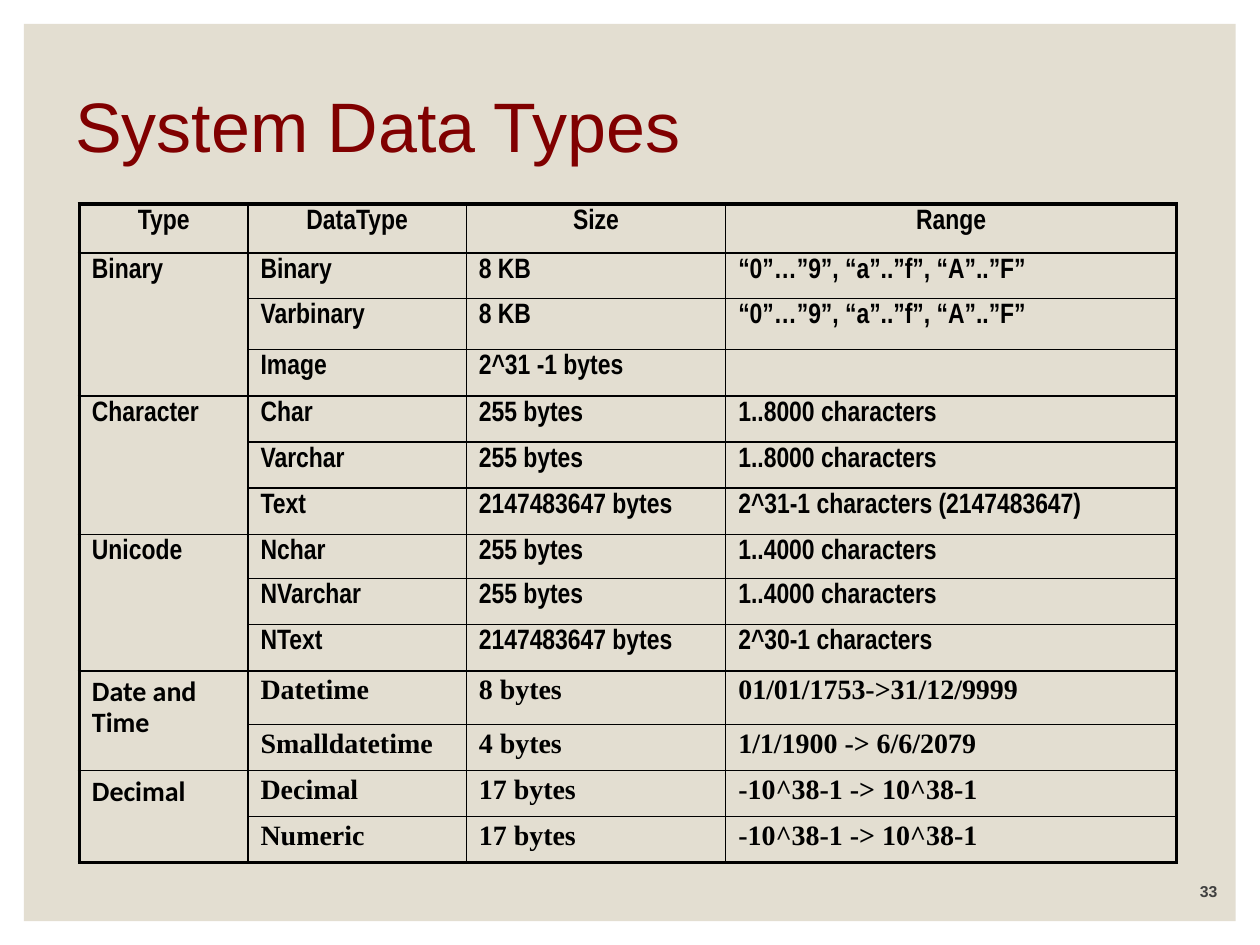
from dataclasses import dataclass

from lxml.etree import SubElement
from pptx import Presentation
from pptx.dml.color import RGBColor
from pptx.enum.shapes import MSO_SHAPE as Preset
from pptx.enum.text import MSO_ANCHOR as Anchor, PP_ALIGN as Align
from pptx.oxml.ns import qn
from pptx.util import Cm, Pt


@dataclass(frozen=True)
class Theme:
    panel: str = "E3DED1"
    heading: str = "800000"
    ink: str = "000000"
    muted: str = "404040"
    sans: str = "Arial"
    narrow: str = "Arial Narrow"
    rounded: str = "Calibri"
    serif: str = "Times New Roman"
    heading_size: float = 40
    cell_size: float = 16
    number_size: float = 9
    outer_line: float = 2.25
    inner_line: float = 1


class SlideBuilder:
    def __init__(self, slide, theme):
        self.slide = slide
        self.theme = theme

    def style(self, paragraph, font, size, color, bold=False, align=Align.LEFT):
        paragraph.alignment = align
        paragraph.font.name = font
        paragraph.font.size = Pt(size)
        paragraph.font.bold = bold
        paragraph.font.color.rgb = RGBColor.from_string(color)

    def panel(self, left, top, width, height):
        panel = self.slide.shapes.add_shape(
            Preset.RECTANGLE, Cm(left), Cm(top), Cm(width), Cm(height))
        panel.shadow.inherit = False
        panel.fill.solid()
        panel.fill.fore_color.rgb = RGBColor.from_string(self.theme.panel)
        panel.line.fill.background()

    def text(self, words, left, top, width, height, anchor, *style, **options):
        frame = self.slide.shapes.add_textbox(
            Cm(left), Cm(top), Cm(width), Cm(height)).text_frame
        frame.word_wrap = True
        frame.vertical_anchor = anchor
        paragraph = frame.paragraphs[0]
        paragraph.text = words
        paragraph.line_spacing = 0.9
        self.style(paragraph, *style, **options)

    def cell(self, cell, words, font, align=Align.LEFT):
        paragraph = cell.text_frame.paragraphs[0]
        paragraph.text = words
        paragraph.line_spacing = 0.9
        self.style(paragraph, font, self.theme.cell_size, self.theme.ink, True, align)
        # Space before as a share of the line, placed right after line spacing
        properties = paragraph.font._element.getparent()
        before = SubElement(properties, qn("a:spcBef"))
        SubElement(before, qn("a:spcPct"), val="60000")
        properties.insert(1, before)
        if not words:
            SubElement(paragraph._p, qn("a:endParaRPr"),
                       sz=str(self.theme.cell_size * 100))

    def borders(self, cell, outer_sides):
        properties = cell._tc.get_or_add_tcPr()
        for side in "LRTB":
            width = self.theme.outer_line if side in outer_sides else self.theme.inner_line
            line = SubElement(properties, qn(f"a:ln{side}"), w=str(Pt(width)))
            fill = SubElement(line, qn("a:solidFill"))
            SubElement(fill, qn("a:srgbClr"), val=self.theme.ink)
        cell.fill.background()

    def table(self, left, top, widths, heights):
        table = self.slide.shapes.add_table(
            len(heights), len(widths), Cm(left), Cm(top),
            Cm(sum(widths)), Cm(sum(heights))).table
        table.first_row = table.horz_banding = False
        for column, width in zip(table.columns, widths):
            column.width = Cm(width)
        for row, height in zip(table.rows, heights):
            row.height = Cm(height)
        return table

    def type_table(self, left, top, widths, heights, headings, groups):
        table = self.table(left, top, widths, heights)
        for column, heading in enumerate(headings):
            self.cell(table.cell(0, column), heading, self.theme.narrow, Align.CENTER)

        # Each group spans its rows in the first column
        start = 1
        for group, group_font, body_font, members in groups:
            end = start + len(members) - 1
            table.cell(start, 0).merge(table.cell(end, 0))
            self.cell(table.cell(start, 0), group, group_font)
            for row, member in enumerate(members, start):
                for column, words in enumerate(member, 1):
                    self.cell(table.cell(row, column), words, body_font)
            start = end + 1

        # Heavy frame outside, thin lines inside
        for row in range(len(heights)):
            for column in range(len(widths)):
                cell = table.cell(row, column)
                if cell.is_spanned:
                    continue
                span = cell.span_height if cell.is_merge_origin else 1
                at_edge = {"L": column == 0, "R": column == len(widths) - 1,
                           "T": row == 0, "B": row + span == len(heights)}
                self.borders(cell, [side for side, outer in at_edge.items() if outer])


THEME = Theme()
HEADINGS = ["Type", "DataType", "Size", "Range"]
HEX_DIGITS = "“0”…”9”, “a”..”f”, “A”..”F”"
DECIMAL_RANGE = "-10^38-1 -> 10^38-1"
GROUPS = [
    ("Binary", THEME.narrow, THEME.narrow, [
        ("Binary", "8 KB", HEX_DIGITS),
        ("Varbinary", "8 KB", HEX_DIGITS),
        ("Image", "2^31 -1 bytes", "")]),
    ("Character", THEME.narrow, THEME.narrow, [
        ("Char", "255 bytes", "1..8000 characters"),
        ("Varchar", "255 bytes", "1..8000 characters"),
        ("Text", "2147483647 bytes", "2^31-1 characters (2147483647)")]),
    ("Unicode", THEME.narrow, THEME.narrow, [
        ("Nchar", "255 bytes", "1..4000 characters"),
        ("NVarchar", "255 bytes", "1..4000 characters"),
        ("NText", "2147483647 bytes", "2^30-1 characters")]),
    ("Date and Time", THEME.rounded, THEME.serif, [
        ("Datetime", "8 bytes", "01/01/1753->31/12/9999"),
        ("Smalldatetime", "4 bytes", "1/1/1900 -> 6/6/2079")]),
    ("Decimal", THEME.rounded, THEME.serif, [
        ("Decimal", "17 bytes", DECIMAL_RANGE),
        ("Numeric", "17 bytes", DECIMAL_RANGE)]),
]
COLUMN_WIDTHS = [3.4, 4.4, 5.23, 9.09]
ROW_HEIGHTS = [0.99, 0.92, 1.03, 0.91, 0.93, 0.93, 0.93,
               0.89, 0.93, 0.93, 1.08, 0.93, 0.93, 0.92]


def main():
    deck = Presentation()
    deck.slide_width, deck.slide_height = Cm(25.4), Cm(19.05)
    builder = SlideBuilder(deck.slides.add_slide(deck.slide_layouts[6]), THEME)

    # Background panel
    builder.panel(0.48, 0.48, 24.43, 18.09)

    # Title
    builder.text("System Data Types", 1.27, 0.71, 22.86, 3.81, Anchor.MIDDLE,
                 THEME.sans, THEME.heading_size, THEME.heading)

    # Data type table
    builder.type_table(1.6, 4.11, COLUMN_WIDTHS, ROW_HEIGHTS, HEADINGS, GROUPS)

    # Slide number
    builder.text("33", 21.74, 17.53, 3.05, 0.76, Anchor.BOTTOM, THEME.sans,
                 THEME.number_size, THEME.muted, bold=True, align=Align.RIGHT)

    deck.save("out.pptx")


if __name__ == "__main__":
    main()
